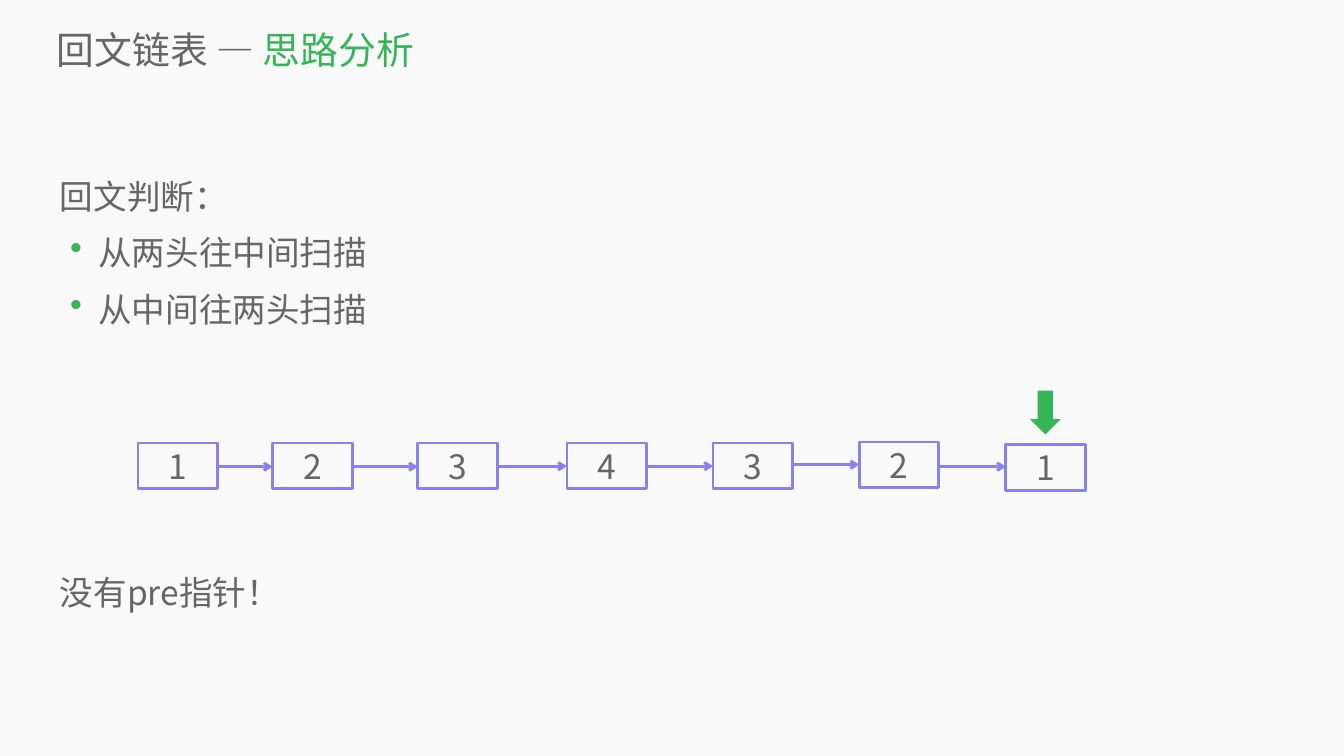
"""Build the palindrome linked list slide."""
from pptx import Presentation
from pptx.dml.color import RGBColor
from pptx.enum.shapes import MSO_CONNECTOR, MSO_SHAPE
from pptx.enum.text import MSO_ANCHOR, PP_ALIGN
from pptx.oxml.ns import qn
from pptx.util import Inches, Pt
from lxml.etree import SubElement

FONT = "Noto Sans CJK SC"
GREY, GREEN, VIOLET = "666666", "35B558", "8881F0"
TITLE = [("回文链表 — ", GREY), ("思路分析", GREEN)]
HEADING = "回文判断："
BULLETS = ["从两头往中间扫描", "从中间往两头扫描"]
NOTE = "没有pre指针！"
NODES = [("1", 2.74, 8.79), ("2", 5.41, 8.79), ("3", 8.29, 8.79), ("4", 11.25, 8.79),
         ("3", 14.15, 8.79), ("2", 17.05, 8.77), ("1", 19.96, 8.82)]
LINK_YS = [9.26, 9.26, 9.25, 9.25, 9.22, 9.26]
NODE_W, NODE_H = 1.58, 0.91


def rgb(value):
    return RGBColor.from_string(value)


def add_run(p, text, size, color=GREY):
    r = p.add_run()
    r.text = text
    r.font.size, r.font.name = Pt(size), FONT
    r.font.color.rgb = rgb(color)
    SubElement(r.font._element, qn("a:ea"), typeface=FONT)


def clear_margins(tf, anchor):
    tf.margin_left = tf.margin_right = tf.margin_top = tf.margin_bottom = 0
    tf.word_wrap = True
    tf.vertical_anchor = anchor


def add_text(s, left, top, width, height, anchor=MSO_ANCHOR.TOP):
    box = s.shapes.add_textbox(*map(Inches, (left, top, width, height)))
    clear_margins(box.text_frame, anchor)
    return box.text_frame


def add_bullet(p):
    pPr = p._p.get_or_add_pPr()
    pPr.set("marL", str(Inches(0.76)))
    pPr.set("indent", str(Inches(-0.56)))
    SubElement(SubElement(pPr, qn("a:buClr")), qn("a:srgbClr"), val=GREEN)
    SubElement(pPr, qn("a:buSzPct"), val="105000")
    SubElement(pPr, qn("a:buChar"), char="•")


def add_body(s, top, lines):
    tf = add_text(s, 1.19, top, 24.28, 1.12 * len(lines))
    for i, (text, bulleted) in enumerate(lines):
        p = tf.add_paragraph() if i else tf.paragraphs[0]
        p.line_spacing = Pt(81)
        if bulleted:
            add_bullet(p)
        add_run(p, text, 48)


def add_node(s, label, left, top):
    sp = s.shapes.add_shape(MSO_SHAPE.RECTANGLE, *map(Inches, (left, top, NODE_W, NODE_H)))
    sp.shadow.inherit = False
    sp.fill.background()
    sp.line.color.rgb, sp.line.width = rgb(VIOLET), Pt(4)
    clear_margins(sp.text_frame, MSO_ANCHOR.MIDDLE)
    p = sp.text_frame.paragraphs[0]
    p.alignment = PP_ALIGN.CENTER
    add_run(p, label, 48)


def add_link(s, start, end, y):
    link = s.shapes.add_connector(MSO_CONNECTOR.STRAIGHT, *map(Inches, (start, y, end, y)))
    link.line.color.rgb, link.line.width = rgb(VIOLET), Pt(4)
    SubElement(link.line._get_or_add_ln(), qn("a:tailEnd"), type="arrow")
    SubElement(link._element.spPr, qn("a:effectLst"))


def main():
    prs = Presentation()
    prs.slide_width, prs.slide_height = Inches(26.67), Inches(15)
    s = prs.slides.add_slide(prs.slide_layouts[6])
    s.background.fill.solid()
    s.background.fill.fore_color.rgb = rgb("F9F9F9")

    p = add_text(s, 1.13, 0.47, 25.16, 1.02, MSO_ANCHOR.MIDDLE).paragraphs[0]
    for text, color in TITLE:
        add_run(p, text, 54, color)

    add_body(s, 3.16, [(HEADING, False)] + [(text, True) for text in BULLETS])
    add_body(s, 11.02, [(NOTE, False)])

    for node in NODES:
        add_node(s, *node)
    for (_, left, _), (_, end, _), y in zip(NODES, NODES[1:], LINK_YS):
        add_link(s, left + NODE_W, end, y)

    sp = s.shapes.add_shape(MSO_SHAPE.DOWN_ARROW, *map(Inches, (20.44, 7.75, 0.61, 0.87)))
    sp.shadow.inherit = False
    sp.fill.solid()
    sp.fill.fore_color.rgb = rgb(GREEN)
    sp.line.fill.background()

    prs.save("out.pptx")


if __name__ == "__main__":
    main()
